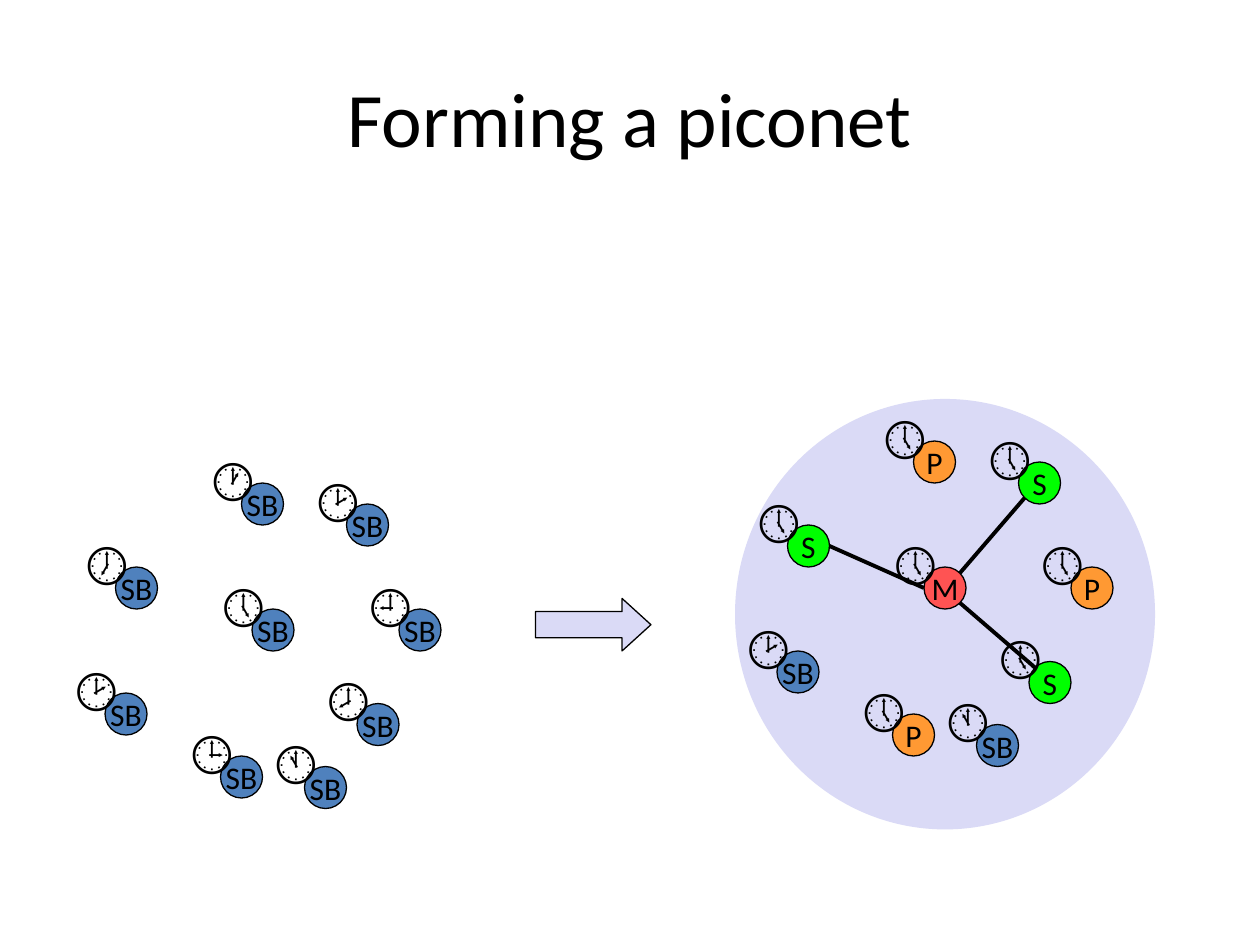
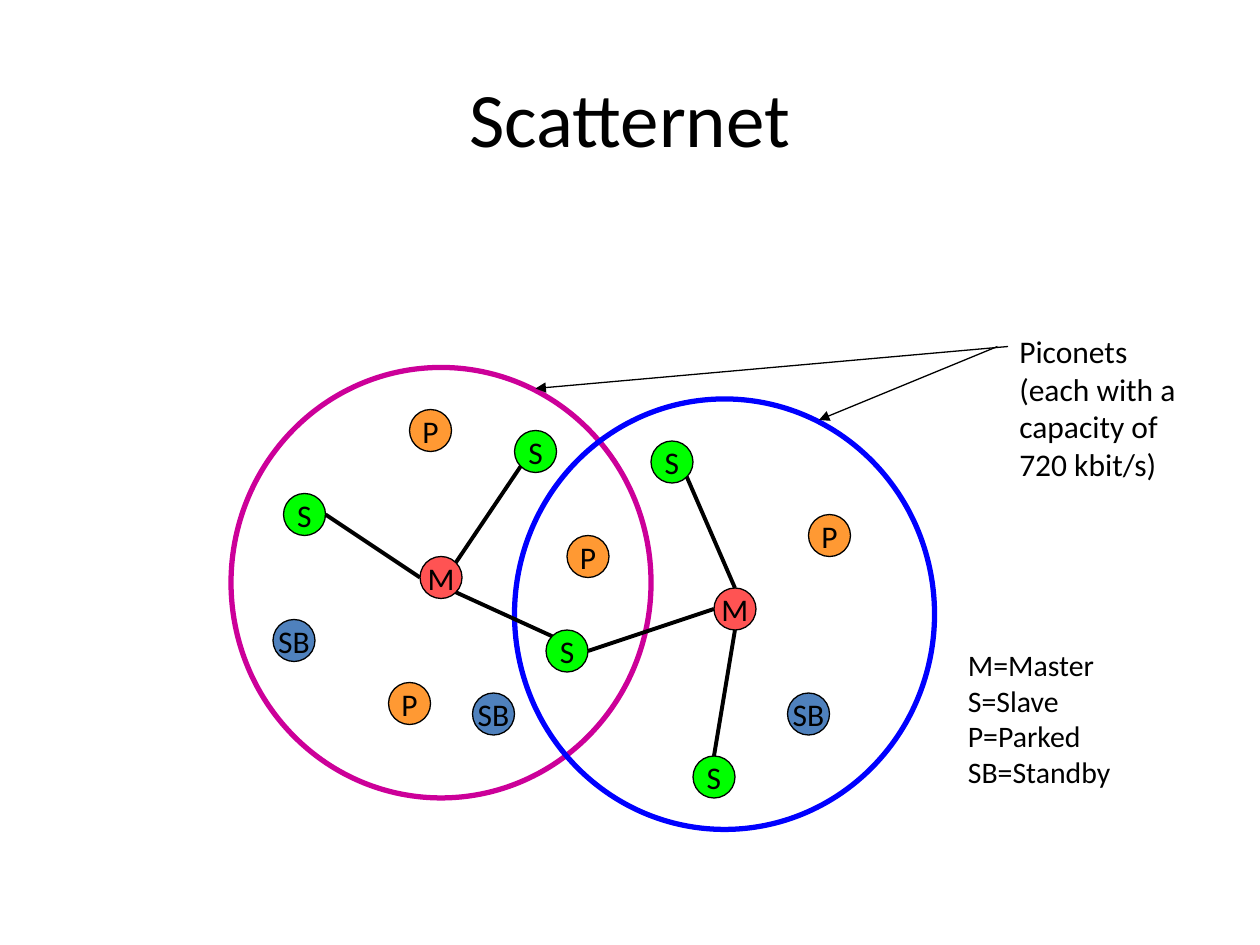
from lxml import etree
from pptx import Presentation
from pptx import util as u
from pptx.dml.color import RGBColor
from pptx.enum import shapes, text
from pptx.oxml.ns import qn

PX = u.Inches(1) // 120
FONT = "Calibri"
BLACK = RGBColor(0x00, 0x00, 0x00)
LAVENDER = RGBColor(0xDA, 0xDA, 0xF6)
MAGENTA = RGBColor(0xCC, 0x00, 0x99)
BLUE = RGBColor(0x00, 0x00, 0xFF)
ROLE_COLORS = {
    "M": RGBColor(0xFF, 0x53, 0x53),
    "S": RGBColor(0x00, 0xFF, 0x00),
    "P": RGBColor(0xFF, 0x99, 0x33),
    "SB": RGBColor(0x4F, 0x81, 0xBD),
}

# Devices: diameter, points on the rim, and clock offset
DEVICE = 40
RIM = {
    "top": (20, 0), "left": (0, 20), "bottom": (20, 40), "right": (40, 20),
    "top left": (6, 6), "top right": (34, 6),
    "bottom left": (6, 34), "bottom right": (34, 34),
}
CLOCK_OFFSET = -40

# Nine device places within a group; both slides start from them
MASTER, WEST, SOUTH, SOUTHWEST, NORTHEAST, SOUTHEAST, NORTH, EAST, LAST = range(9)
PLACES = [(180, 160), (50, 120), (150, 300), (40, 240), (270, 60),
          (280, 250), (170, 40), (320, 160), (230, 310)]
ROLES = ["M", "S", "P", "SB", "S", "S", "P", "P", "SB"]
LINKS = [
    (MASTER, "left", WEST, "right"),
    (MASTER, "top right", NORTHEAST, "bottom left"),
    (SOUTHEAST, "top left", MASTER, "bottom right"),
]


def emu(*lengths):
    return [length * PX for length in lengths]


def write(shape, lines, size, align=text.PP_ALIGN.LEFT,
          anchor=text.MSO_ANCHOR.TOP, wrap=False):
    frame = shape.text_frame
    frame.word_wrap = wrap
    frame.vertical_anchor = anchor
    for index, line in enumerate(lines):
        paragraph = frame.add_paragraph() if index else frame.paragraphs[0]
        paragraph.alignment = align
        run = paragraph.add_run()
        run.text = line
        run.font.size = u.Pt(size)
        run.font.name = FONT
        run.font.color.rgb = BLACK


def add_label(slide, box, lines, size):
    label = slide.shapes.add_textbox(*emu(*box))
    label.text_frame.auto_size = text.MSO_AUTO_SIZE.SHAPE_TO_FIT_TEXT
    write(label, lines, size)


def add_figure(slide, kind, box, fill=None, line=None, width=0.75):
    figure = slide.shapes.add_shape(kind, *emu(*box))
    figure.shadow.inherit = False
    for part, color in ((figure.fill, fill), (figure.line.fill, line)):
        if color is None:
            part.background()
        else:
            part.solid()
            part.fore_color.rgb = color
    if line is not None:
        figure.line.width = u.Pt(width)
    return figure


def add_line(slide, start, end, width, arrow=False):
    connector = slide.shapes.add_connector(
        shapes.MSO_CONNECTOR.STRAIGHT, *emu(*start, *end))
    connector.line.color.rgb = BLACK
    connector.line.width = u.Pt(width)
    if arrow:
        etree.SubElement(connector.get_or_add_ln(), qn("a:tailEnd"), type="triangle")
    etree.SubElement(connector.element.spPr, qn("a:effectLst"))


def add_title(slide, title):
    box = slide.shapes.add_textbox(*emu(60, 36, 1080, 150))
    write(box, [title], 44, text.PP_ALIGN.CENTER, text.MSO_ANCHOR.MIDDLE, True)


def add_devices(slide, box, roles, places, links=(), clocks=""):
    """Draw one group of devices, its links and its clocks inside a box."""
    left, top = box[:2]
    spots = [(left + x, top + y) for x, y in places]

    def rim_point(device, side):
        return [spot + offset for spot, offset in zip(spots[device], RIM[side])]

    # Round devices; a place without a role belongs to another group
    for role, spot in zip(roles, spots):
        if role:
            device = add_figure(slide, shapes.MSO_SHAPE.OVAL, (*spot, DEVICE, DEVICE),
                                ROLE_COLORS[role], BLACK)
            write(device, [role], 18, text.PP_ALIGN.CENTER, text.MSO_ANCHOR.MIDDLE)

    # Links between master and slaves
    for first, first_side, second, second_side in links:
        add_line(slide, rim_point(first, first_side),
                 rim_point(second, second_side), 2.25)

    # Clocks at the upper left of the devices
    for clock, (x, y) in zip(clocks, spots):
        add_label(slide, (x + CLOCK_OFFSET, y + CLOCK_OFFSET, 66, 68), [clock], 28)


def build_forming_slide(slide):
    add_title(slide, "Forming a piconet")

    # Unconnected devices
    add_devices(slide, (60, 420), ["SB"] * len(PLACES), PLACES, clocks="🕔🕖🕒🕑🕑🕗🕐🕘🕚")

    # Piconet formed around a master
    piconet = (700, 380, 400, 410)
    add_figure(slide, shapes.MSO_SHAPE.OVAL, piconet, LAVENDER)
    add_devices(slide, piconet, ROLES, PLACES, LINKS, "🕔🕔🕔🕑🕔🕔🕔🕔🕚")

    # Transition arrow
    arrow = add_figure(slide, shapes.MSO_SHAPE.RIGHT_ARROW, (510, 570, 110, 50),
                       LAVENDER, BLACK)
    arrow.adjustments[0] = 0.5
    arrow.adjustments[1] = 0.55


def build_scatternet_slide(slide):
    # Overlapping piconets
    left_piconet = (220, 350, 400, 410)
    right_piconet = (490, 380, 400, 410)
    for box, color in ((left_piconet, MAGENTA), (right_piconet, BLUE)):
        add_figure(slide, shapes.MSO_SHAPE.OVAL, box, line=color, width=3)
    add_title(slide, "Scatternet")

    # Left piconet, with its southeast slave inside the overlap
    left_places = list(PLACES)
    left_places[MASTER] = (180, 180)
    left_places[SOUTHEAST] = (300, 250)
    add_devices(slide, left_piconet, ROLES, left_places, LINKS)

    # Right piconet; its last place is the slave shared with the left one
    shared_place = tuple(
        left + offset - right for left, offset, right
        in zip(left_piconet, left_places[SOUTHEAST], right_piconet))
    add_devices(
        slide, right_piconet, ["M", "S", "S", "P", "SB", None],
        [(190, 180), (130, 40), (170, 340), (280, 110), (260, 280), shared_place],
        [(0, "top", 1, "bottom right"), (0, "left", 5, "right"),
         (0, "bottom", 2, "top")])

    # Legend and callout
    add_label(slide, (910, 610, 185, 149),
              ["M=Master", "S=Slave", "P=Parked", "SB=Standby"], 17)
    add_label(slide, (959, 310, 175, 140),
              ["Piconets", "(each with a", "capacity of", "720 kbit/s)"], 18)
    add_line(slide, (960, 330), (510, 370), 0.75, arrow=True)
    add_line(slide, (950, 330), (780, 400), 0.75, arrow=True)


def main():
    presentation = Presentation()
    presentation.slide_width, presentation.slide_height = emu(1200, 900)
    blank = presentation.slide_layouts[6]
    for build in (build_forming_slide, build_scatternet_slide):
        build(presentation.slides.add_slide(blank))
    presentation.save("out.pptx")


if __name__ == "__main__":
    main()
